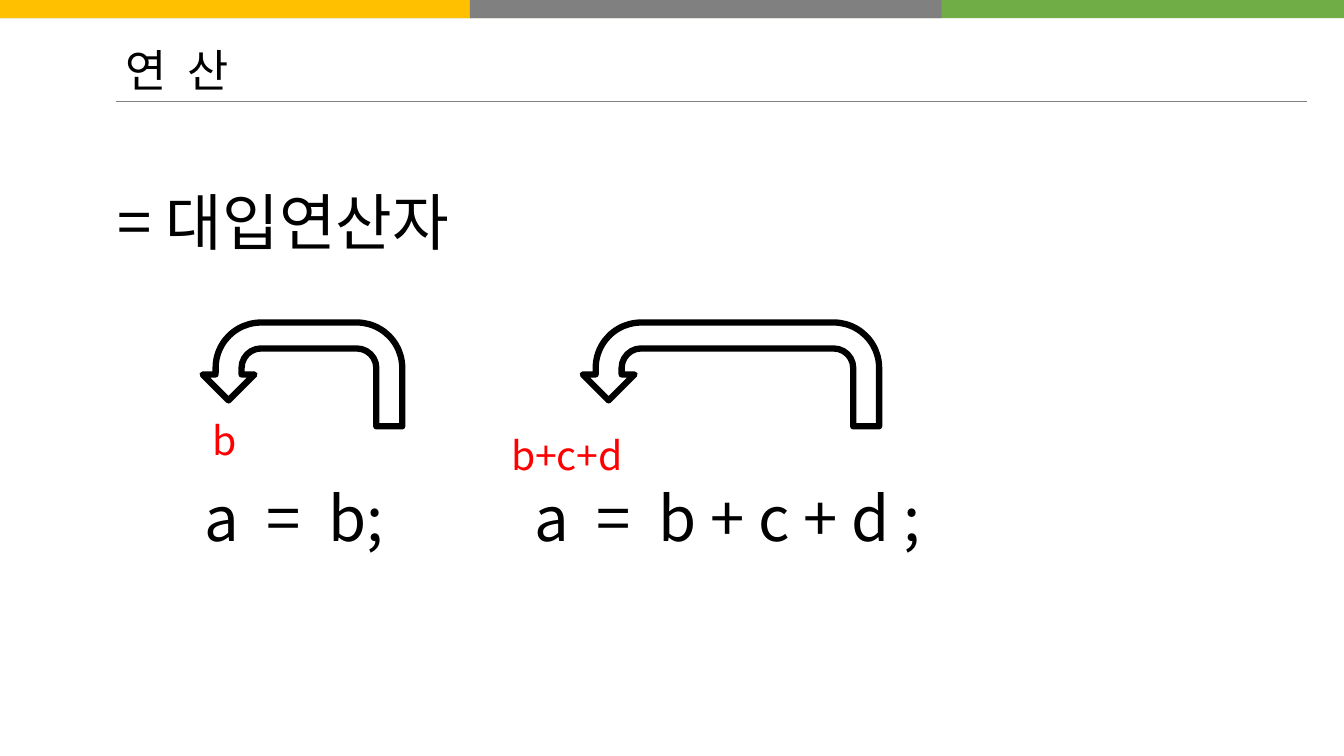
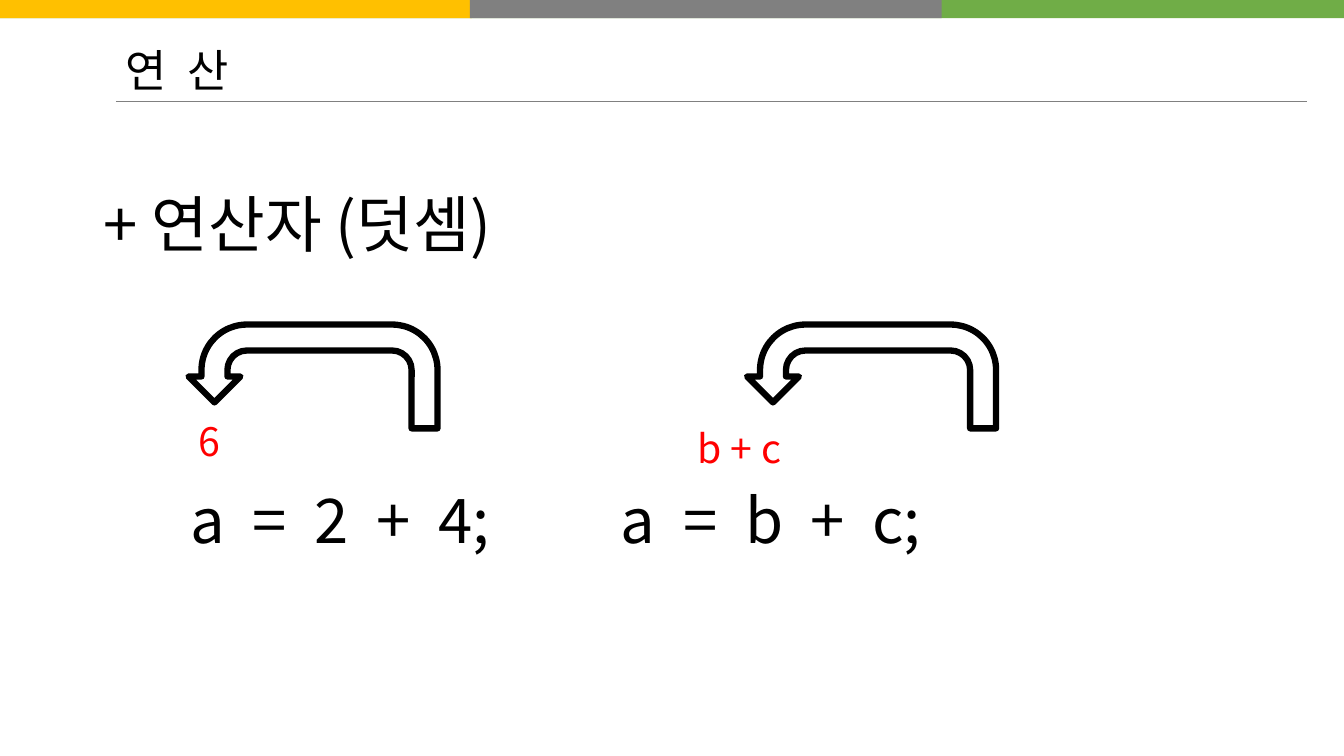
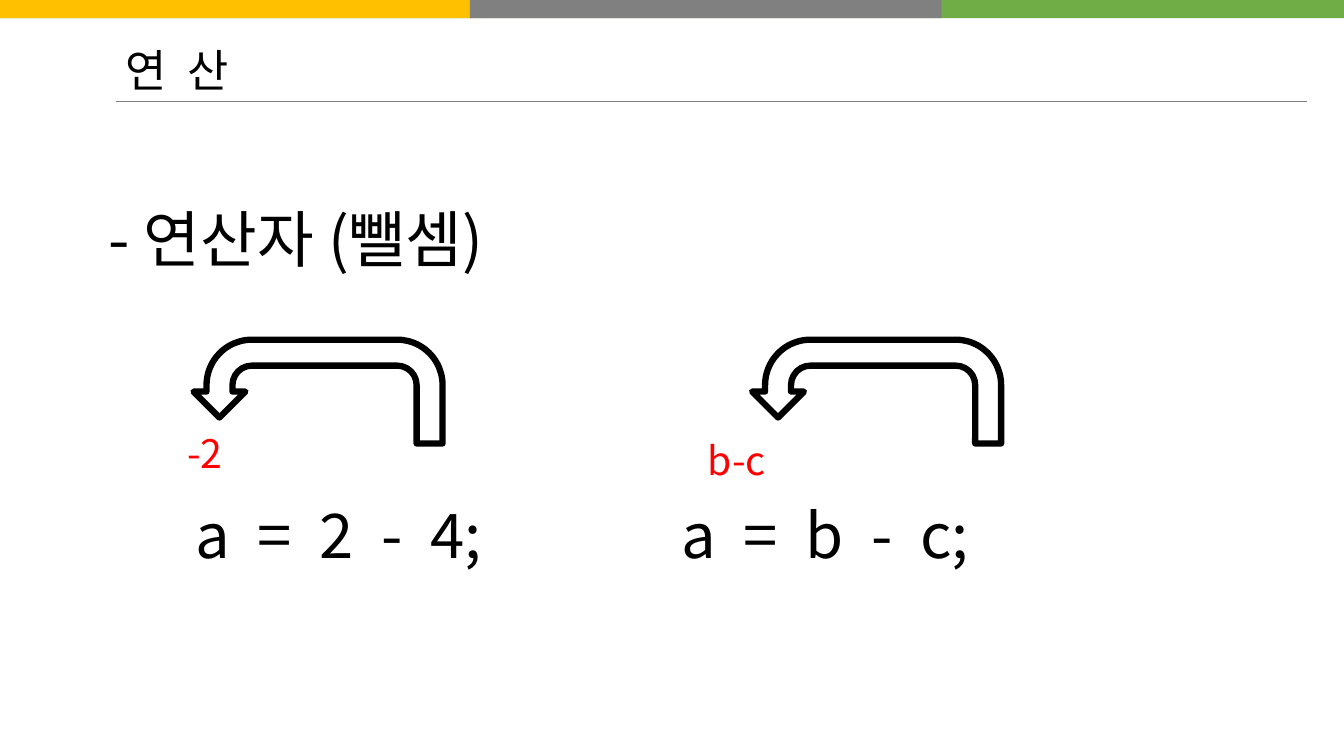
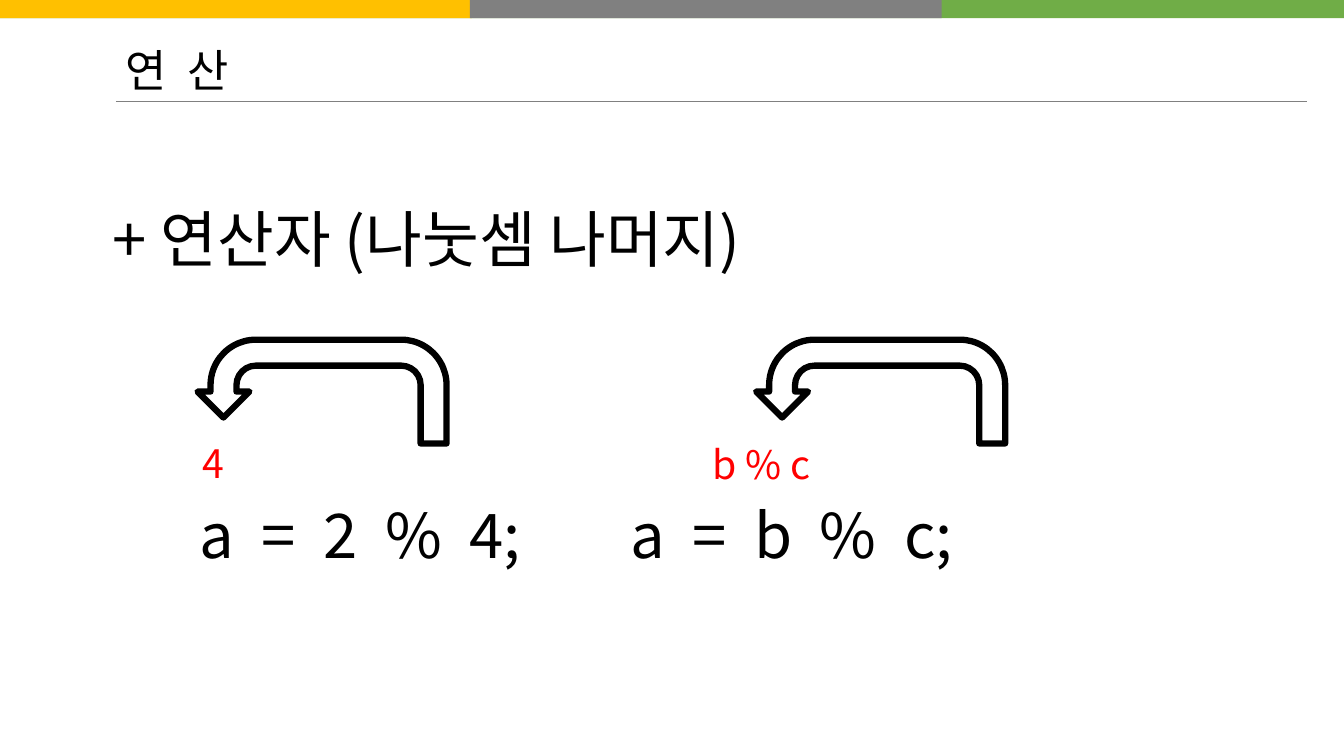
import pptx
import pptx.dml.color
import pptx.enum.shapes
import pptx.enum.text
import pptx.oxml.ns
import pptx.util
from lxml import etree

PX = 9144
FONT = "Noto Sans CJK KR"
BLACK, WHITE, RED = "000000", "FFFFFF", "FF0000"
YELLOW, GRAY, GREEN = "FFC000", "808080", "70AD47"
SHAPE = pptx.enum.shapes.MSO_SHAPE
WIDTH, HEIGHT = 1333, 750
TITLE = "연  산"
ARROW_TOP, ARROW_HEIGHT = 216, 103

SLIDES = [
    {
        "at": (93, 104),
        "heading": "= 대입연산자",
        "code": ("a  =  b;", "a  =  b + c + d ;"),
        "second_tab": 427,
        "arrows": ((108, 198), (485, 294)),
        "results": (("b", 108, 304, 57), ("b+c+d", 404, 319, 161)),
    },
    {
        "at": (79, 106),
        "heading": "+ 연산자 (덧셈)",
        "code": ("a  =  2  +  4;", "a  =  b  +  c;"),
        "second_tab": 527,
        "arrows": ((108, 247), (662, 247)),
        "results": (("6", 108, 303, 57), ("b + c", 603, 310, 119)),
    },
    {
        "at": (84, 121),
        "heading": "- 연산자 (뺄셈)",
        "code": ("a  =  2  -  4;", "a  =  b  -  c;"),
        "second_tab": 582,
        "arrows": ((108, 247), (662, 247)),
        "results": (("-2", 92, 300, 73), ("b-c", 608, 307, 112)),
    },
    {
        "at": (88, 121),
        "heading": "+ 연산자 (나눗셈 나머지)",
        "code": ("a  =  2  %  4;", "a  =  b  %  c;"),
        "second_tab": 527,
        "arrows": ((108, 247), (662, 247)),
        "results": (("4", 103, 310, 129), ("b % c", 609, 311, 129)),
    },
]


def px(*lengths):
    return [pptx.util.Emu(n * PX) for n in lengths]


def rgb(color):
    return pptx.dml.color.RGBColor.from_string(color)


def add_child(parent, tag, **attributes):
    child = etree.SubElement(parent, pptx.oxml.ns.qn(tag))
    for name, value in attributes.items():
        child.set(name, str(value))
    return child


def add_shape(shapes, kind, box, fill, line=None, weight=0):
    sp = shapes.add_shape(kind, *px(*box))
    sp.shadow.inherit = False
    sp.fill.solid()
    sp.fill.fore_color.rgb = rgb(fill)
    if line:
        sp.line.color.rgb = rgb(line)
        sp.line.width = pptx.util.Pt(weight)
    else:
        sp.line.fill.background()
    return sp


def add_run(p, text, size, color):
    r = p.add_run()
    r.text = text
    r.font.size = pptx.util.Pt(size)
    r.font.name = FONT
    r.font.color.rgb = rgb(color)
    add_child(r.font._element, "a:ea", typeface=FONT)


def add_text_box(s, box):
    tf = s.shapes.add_textbox(*px(*box)).text_frame
    tf.word_wrap = True
    tf.auto_size = pptx.enum.text.MSO_AUTO_SIZE.SHAPE_TO_FIT_TEXT
    return tf


def add_label(s, box, text, size, color):
    add_run(add_text_box(s, box).paragraphs[0], text, size, color)


def add_header(s):
    add_label(s, (115, 37, 393, 64), TITLE, 32, BLACK)
    rule = s.shapes.add_connector(
        pptx.enum.shapes.MSO_CONNECTOR.STRAIGHT, *px(115, 101, 1296, 101))
    rule.line.color.rgb = rgb(GRAY)
    rule.line.width = pptx.util.Pt(1)
    add_child(rule._element.spPr, "a:effectLst")
    bands = s.shapes.add_group_shape()
    for left, width, color in ((0, WIDTH, GREEN), (0, 468, YELLOW), (466, 468, GRAY)):
        add_shape(bands.shapes, SHAPE.RECTANGLE, (left, 0, width, 18), color)


def add_body(s, left, top, heading, code, second_tab):
    tf = add_text_box(s, (left, top, 1218, 431))
    p = tf.paragraphs[0]
    p.line_spacing = 2.0
    p._p.get_or_add_pPr().set("marL", str(14 * PX))
    add_run(p, heading, 44, BLACK)
    p = tf.add_paragraph()
    p.line_spacing = 2.0
    p.space_before = pptx.util.Pt(106)
    tabs = add_child(p._p.get_or_add_pPr(), "a:tabLst")
    for stop in (100, second_tab):
        add_child(tabs, "a:tab", pos=stop * PX, algn="l")
    for statement in code:
        add_run(p, "\t" + statement, 44, BLACK)


def add_arrow(s, left, top, width):
    sp = add_shape(s.shapes, SHAPE.U_TURN_ARROW,
                   (left, top, width, ARROW_HEIGHT), WHITE, BLACK, 4.5)
    sp._element.spPr.xfrm.set("flipH", "1")


def add_operator_slide(prs, at, heading, code, second_tab, arrows, results):
    s = prs.slides.add_slide(prs.slide_layouts[6])
    left, top = at
    add_header(s)
    add_body(s, left, top, heading, code, second_tab)
    for x, width in arrows:
        add_arrow(s, left + x, top + ARROW_TOP, width)
    for text, x, y, width in results:
        add_label(s, (left + x, top + y, width, 57), text, 28, RED)


def main():
    prs = pptx.Presentation()
    prs.slide_width, prs.slide_height = px(WIDTH, HEIGHT)
    for content in SLIDES:
        add_operator_slide(prs, **content)
    prs.save("out.pptx")


if __name__ == "__main__":
    main()
